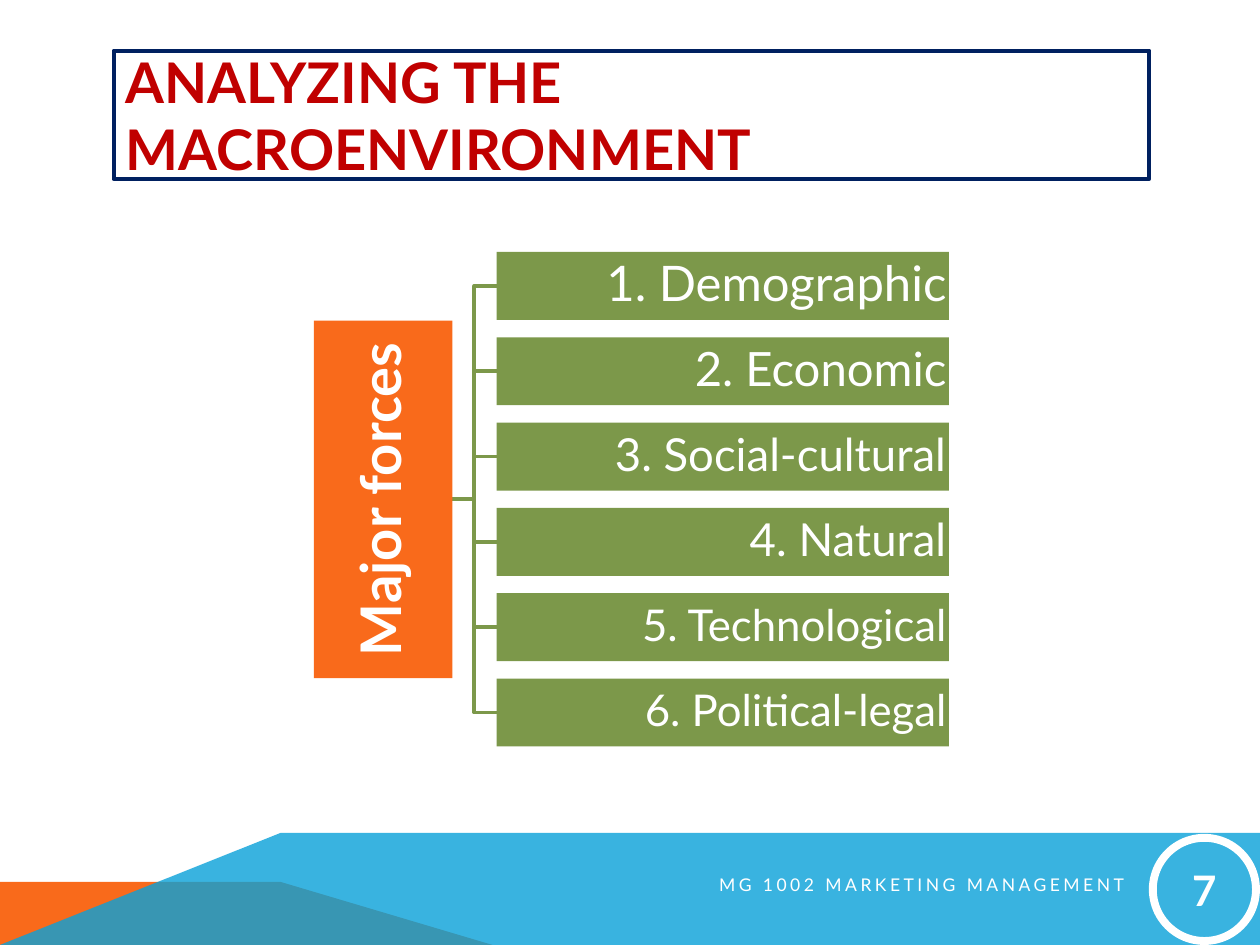
from pptx import Presentation
from pptx import util as u
from pptx.dml.color import RGBColor
from pptx.enum import shapes, text
from pptx.oxml.xmlchemy import OxmlElement

COLORS = {
    "orange": "F96A1B",
    "blue": "08A1D9",
    "green": "7C984A",
    "navy": "002060",
    "red": "C00000",
    "white": "FFFFFF",
}
FONT = "Lato"


def paint(shape, fill=None, line=None, width=1):
    shape.shadow.inherit = False
    if fill:
        shape.fill.solid()
        shape.fill.fore_color.rgb = RGBColor.from_string(COLORS[fill])
    else:
        shape.fill.background()
    if line:
        shape.line.color.rgb = RGBColor.from_string(COLORS[line])
        shape.line.width = u.Pt(width)
    else:
        shape.line.fill.background()


def write(shape, words, size, color, align, bold=False, margin=None, spacing=None):
    frame = shape.text_frame
    frame.text = words
    frame.word_wrap = True
    frame.vertical_anchor = text.MSO_ANCHOR.MIDDLE
    if margin is not None:
        frame.margin_left = frame.margin_right = u.Cm(margin)
        frame.margin_top = frame.margin_bottom = u.Cm(margin)
    paragraph = frame.paragraphs[0]
    paragraph.alignment = align
    if spacing:
        paragraph.line_spacing = spacing
    font = paragraph.runs[0].font
    font.name = FONT
    font.size = u.Pt(size)
    font.bold = bold
    font.color.rgb = RGBColor.from_string(COLORS[color])


deck = Presentation()
deck.slide_width = u.Cm(25.4)
deck.slide_height = u.Cm(19.05)
canvas = deck.slides.add_slide(deck.slide_layouts[6]).shapes

bands = [
    ("orange", [(0, 19.05), (0, 17.78), (5.66, 17.78), (9.93, 19.05)]),
    ("blue", [(0, 19.05), (5.66, 16.79), (25.4, 16.79), (25.4, 19.05)]),
]
for color, corners in bands:
    points = [(u.Cm(x), u.Cm(y)) for x, y in corners]
    outline = canvas.build_freeform(*points[0])
    outline.add_line_segments(points[1:], close=True)
    band = outline.convert_to_shape()
    paint(band, color)
    if color == "blue":
        alpha = OxmlElement("a:alpha")
        alpha.set("val", "80000")
        band.fill._xPr.find(".//{*}srgbClr").append(alpha)

title = canvas.add_shape(shapes.MSO_SHAPE.RECTANGLE, u.Cm(2.29), u.Cm(1.02), u.Cm(20.88), u.Cm(2.59))
paint(title, line="navy", width=2.25)
write(title, "ANALYZING THE MACROENVIRONMENT", 32, "red", text.PP_ALIGN.LEFT, bold=True)

forces = [
    ("1. Demographic", 28),
    ("2. Economic", 27),
    ("3. Social-cultural", 26),
    ("4. Natural", 26),
    ("5. Technological", 25),
    ("6. Political-legal", 25),
]
force_left, force_top, force_width, force_height, pitch = 10.01, 5.08, 9.12, 1.37, 1.72
root_right, trunk_x = 9.12, 9.56
root_width, root_height = 7.21, 2.79
middle = force_top + (force_height + pitch * (len(forces) - 1)) / 2

for row in range(len(forces)):
    branch_y = force_top + row * pitch + force_height / 2
    route = [(root_right, middle), (trunk_x, middle), (trunk_x, branch_y), (force_left, branch_y)]
    points = [(u.Cm(x), u.Cm(y)) for x, y in route]
    outline = canvas.build_freeform(*points[0])
    outline.add_line_segments(points[1:], close=False)
    paint(outline.convert_to_shape(), line="green", width=2)

root = canvas.add_shape(
    shapes.MSO_SHAPE.RECTANGLE,
    u.Cm(root_right - (root_height + root_width) / 2),
    u.Cm(middle - root_height / 2),
    u.Cm(root_width),
    u.Cm(root_height),
)
root.rotation = 270
paint(root, "orange")
write(root, "Major forces", 32, "white", text.PP_ALIGN.CENTER, bold=True, margin=0.05, spacing=0.9)

for row, (words, size) in enumerate(forces):
    force = canvas.add_shape(
        shapes.MSO_SHAPE.RECTANGLE,
        u.Cm(force_left),
        u.Cm(force_top + row * pitch),
        u.Cm(force_width),
        u.Cm(force_height),
    )
    paint(force, "green")
    write(force, words, size, "white", text.PP_ALIGN.RIGHT, margin=0.05, spacing=0.9)

footer = canvas.add_textbox(u.Cm(9.78), u.Cm(17.45), u.Cm(13.13), u.Cm(0.76))
write(footer, "MG 1002 MARKETING MANAGEMENT", 10, "white", text.PP_ALIGN.RIGHT)
footer.text_frame.paragraphs[0].runs[0].font._element.set("spc", "200")

page_number = canvas.add_shape(shapes.MSO_SHAPE.OVAL, u.Cm(23.24), u.Cm(16.89), u.Cm(2.08), u.Cm(2.08))
paint(page_number, line="white", width=4.5)
write(page_number, "7", 24, "white", text.PP_ALIGN.CENTER, bold=True, margin=0.03)

deck.save("out.pptx")
